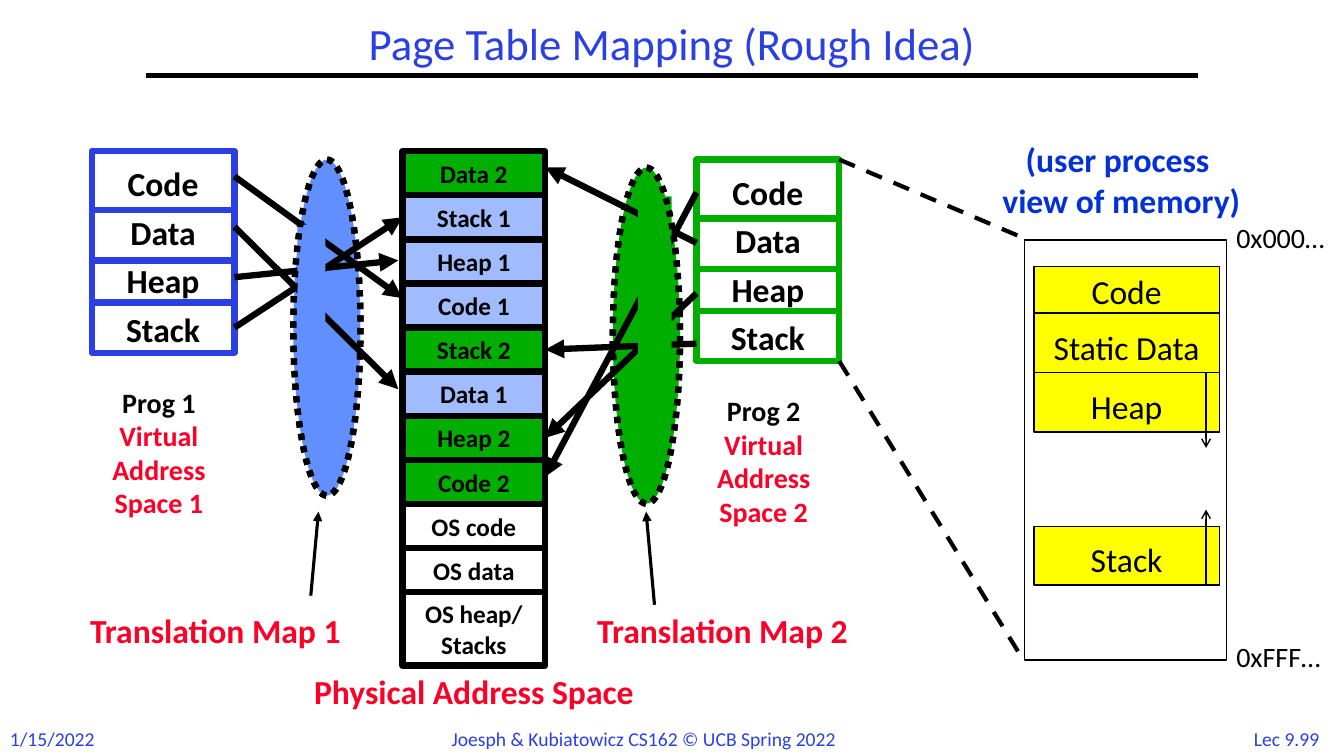
from dataclasses import dataclass

from lxml import etree
from pptx import Presentation, util as u
from pptx.dml import color
from pptx.enum import dml, shapes as kinds, text as txt
from pptx.oxml import ns


@dataclass(frozen=True)
class Theme:
    font: str = "Calibri"
    black: str = "000000"
    white: str = "FFFFFF"
    blue: str = "2A40E2"
    note_blue: str = "0330D8"
    map_blue: str = "618FFD"
    page_blue: str = "A0BCFE"
    green: str = "00AE00"
    red: str = "FC0128"
    yellow: str = "FFFF00"
    title: int = 32
    label: int = 24
    caption: int = 20
    page: int = 18
    footer: int = 14
    heavy: float = 4.5
    medium: float = 3
    light: float = 2.25
    thin: float = 1


T = Theme()
LEFT, CENTER, RIGHT = txt.PP_ALIGN.LEFT, txt.PP_ALIGN.CENTER, txt.PP_ALIGN.RIGHT
MIDDLE, BOTTOM = txt.MSO_ANCHOR.MIDDLE, txt.MSO_ANCHOR.BOTTOM
RECT, OVAL = kinds.MSO_SHAPE.RECTANGLE, kinds.MSO_SHAPE.OVAL
DOTS, DASHES = dml.MSO_LINE.ROUND_DOT, dml.MSO_LINE.DASH


def rgb(value):
    return color.RGBColor.from_string(value)


def apply(target, values):
    for name, value in values.items():
        setattr(target, name, value)


def write(frame, lines, size, ink=T.black, bold=False, align=CENTER, spacing=None,
          first_ink=None, **frame_values):
    """Fill a text frame with one paragraph per line."""
    apply(frame, {"word_wrap": False, **frame_values})
    for index, line in enumerate(lines):
        paragraph = frame.paragraphs[0] if index == 0 else frame.add_paragraph()
        apply(paragraph, {"alignment": align, "line_spacing": spacing})
        run = paragraph.add_run()
        apply(run, {"text": line})
        apply(run.font, {"name": T.font, "size": u.Pt(size), "bold": bold})
        run.font.color.rgb = rgb(first_ink if first_ink and index == 0 else ink)


def label(slide, box, lines, size, **style):
    area = slide.shapes.add_textbox(*map(u.Pt, box))
    write(area.text_frame, lines, size,
          **{"auto_size": txt.MSO_AUTO_SIZE.SHAPE_TO_FIT_TEXT, **style})


def block(slide, kind, box, fill=None, edge=None, width=T.heavy, dash=None):
    figure = slide.shapes.add_shape(kind, *map(u.Pt, box))
    figure.shadow.inherit = False
    if fill:
        figure.fill.solid()
        figure.fill.fore_color.rgb = rgb(fill)
    else:
        figure.fill.background()
    if edge:
        figure.line.color.rgb = rgb(edge)
        apply(figure.line, {"width": u.Pt(width), "dash_style": dash})
    else:
        figure.line.fill.background()
    return figure


def stroke(slide, start, end, width, ink=T.black, dash=None, head=None):
    link = slide.shapes.add_connector(kinds.MSO_CONNECTOR.STRAIGHT, *map(u.Pt, (*start, *end)))
    link.line.color.rgb = rgb(ink)
    apply(link.line, {"width": u.Pt(width), "dash_style": dash})
    properties = link._element.spPr
    if head:
        etree.SubElement(properties.find(ns.qn("a:ln")), ns.qn("a:tailEnd"), type=head)
    etree.SubElement(properties, ns.qn("a:effectLst"))
    return link


def heading(slide, box):
    x, y, w, h = box
    title = slide.shapes.title
    apply(title, dict(zip(("left", "top", "width", "height"), map(u.Pt, box))))
    write(title.text_frame, ["Page Table Mapping (Rough Idea)"], T.title, T.blue,
          spacing=0.9, vertical_anchor=MIDDLE, word_wrap=True)
    stroke(slide, (x, y + h), (x + w, y + h), T.medium)


def footer(slide, box):
    x, y, w, h = box
    for left, width, words, align in (
            (0, 77, "1/15/2022", LEFT),
            (315.5, 327.5, "Joesph & Kubiatowicz CS162 © UCB Spring 2022", LEFT),
            (w - 76, 70, "Lec 9.99", CENTER)):
        label(slide, (x + left, y, width, h), [words], T.footer, ink=T.blue, align=align)


def virtual_space(slide, box, number, edge):
    x, y, w, h = box
    segments = block(slide, RECT, box, T.white, edge)
    write(segments.text_frame, ["Code", "Data", "Heap", "Stack"], T.label, bold=True,
          spacing=1.2, vertical_anchor=MIDDLE)
    for divider in (42, 78, 108):
        stroke(slide, (x, y + divider), (x + w, y + divider), T.heavy, edge)
    label(slide, (x + 0.5, y + h + 19.5, 95, 104),
          [f"Prog {number}", "Virtual", "Address", f"Space {number}"],
          T.caption, ink=T.red, first_ink=T.black, bold=True)


def physical_space(slide, box):
    """Stack the pages and return them by name."""
    x, y, w, row = box
    pages = {}
    for index, name in enumerate(("Data 2", "Stack 1", "Heap 1", "Code 1", "Stack 2", "Data 1",
                                  "Heap 2", "Code 2", "OS code", "OS data", "OS heap/\nStacks")):
        owner = {"1": T.page_blue, "2": T.green}.get(name[-1], T.white)
        lines = name.split("\n")
        height = row if len(lines) == 1 else 52.5
        pages[name] = block(slide, RECT, (x, y + index * row, w, height), owner, T.black)
        write(pages[name].text_frame, lines, T.page, bold=True, vertical_anchor=MIDDLE)
    label(slide, (x - 96, y + 367.5, 294, 36), ["Physical Address Space"], T.label,
          ink=T.red, bold=True)
    return pages


def mappings(slide, start_x, top, ends, pages, side):
    """Draw one arrow per segment; an end given by name joins that page."""
    for index, end in enumerate(ends):
        joined = end in pages
        target = (start_x, top) if joined else end
        arrow = stroke(slide, (start_x, top + index * 36), target, T.heavy, head="triangle")
        if joined:
            arrow.end_connect(pages[end], side)


def map_cover(slide, box, veil, fill):
    """Hide the arrows inside the map and redraw its dotted rim."""
    x, y, w, h = box
    left, top, width, height = veil
    block(slide, RECT, (x + left, y + top, width, height), fill)
    block(slide, OVAL, box, None, T.black, dash=DOTS)


def process_view(slide, box):
    x, y, w, h = box
    block(slide, RECT, box, None, T.black, T.thin)
    for top, words in ((y - 17.5, "0x000…"), (y + h - 18.5, "0xFFF…")):
        label(slide, (x + w, top, 83, 31.5), [words], T.caption, align=LEFT)
    for name, top, height, inset in (("Code", 19, 33, 1), ("Static Data", 52, 42.5, 4),
                                     ("Heap", 94.5, 42.5, 4), ("Stack", 204.5, 42, 4)):
        segment = block(slide, RECT, (x + 6.5, y + top, w - 11.5, height),
                        T.yellow, T.black, T.thin)
        write(segment.text_frame, [name], T.label, vertical_anchor=BOTTOM,
              margin_top=0, margin_bottom=u.Pt(inset))
    for start, end in ((246.5, 192.5), (94.5, 148.5)):
        stroke(slide, (x + 129.5, y + start), (x + 129.5, y + end), T.thin, head="arrow")
    label(slide, (x - 71, y - 75.5, 280, 65.5), ["(user process ", "view of memory)"],
          T.label, ink=T.note_blue, bold=True, word_wrap=True)


def build():
    deck = Presentation()
    apply(deck, {"slide_width": u.Pt(960), "slide_height": u.Pt(540)})
    slide = deck.slides.add_slide(deck.slide_layouts[5])
    footer(slide, (0, 515.5, 960, 24))
    heading(slide, (104, 12, 752, 42))

    # Translation maps behind the arrows
    map_1, map_2 = (209.5, 114, 48, 240), (437.75, 119.75, 48, 240)
    for oval, fill in ((map_2, T.green), (map_1, T.map_blue)):
        block(slide, OVAL, oval, fill, T.black, dash=DOTS)

    # Address spaces
    virtual_space(slide, (65.5, 108, 102, 144), 1, T.blue)
    virtual_space(slide, (497.5, 114, 102, 144), 2, T.green)
    pages = physical_space(slide, (287.5, 108, 102, 31.5))

    # Arrows from virtual segments to physical pages
    mappings(slide, 167.5, 126, ((287.5, 213), (284.5, 278), (284.5, 186), "Stack 1"), pages, 1)
    mappings(slide, 497.5, 137.5, ((389.5, 340.5), (389.5, 119.5), "Heap 2", "Stack 2"), pages, 3)
    map_cover(slide, map_1, (3, 46.5, 20, 108), T.map_blue)
    map_cover(slide, map_2, (18, 20.5, 24, 147.5), T.green)

    # Map captions and their pointers
    label(slide, (31.5, 432, 219, 36), ["Translation Map 1"], T.label,
          ink=T.red, bold=True, align=RIGHT)
    label(slide, (419.5, 432, 227, 36), ["Translation Map 2"], T.label,
          ink=T.red, bold=True, align=LEFT)
    stroke(slide, (222, 425.5), (227.5, 365.5), T.light, head="triangle")
    stroke(slide, (467.5, 432), (461.5, 365.5), T.light, head="triangle")

    # Enlarged view of one process
    process_view(slide, (732, 171.5, 144, 300))
    for start_y, end_y in ((114, 170), (258, 471.5)):
        stroke(slide, (599.5, start_y), (731, end_y), T.medium, dash=DASHES)
    deck.save("out.pptx")


if __name__ == "__main__":
    build()
